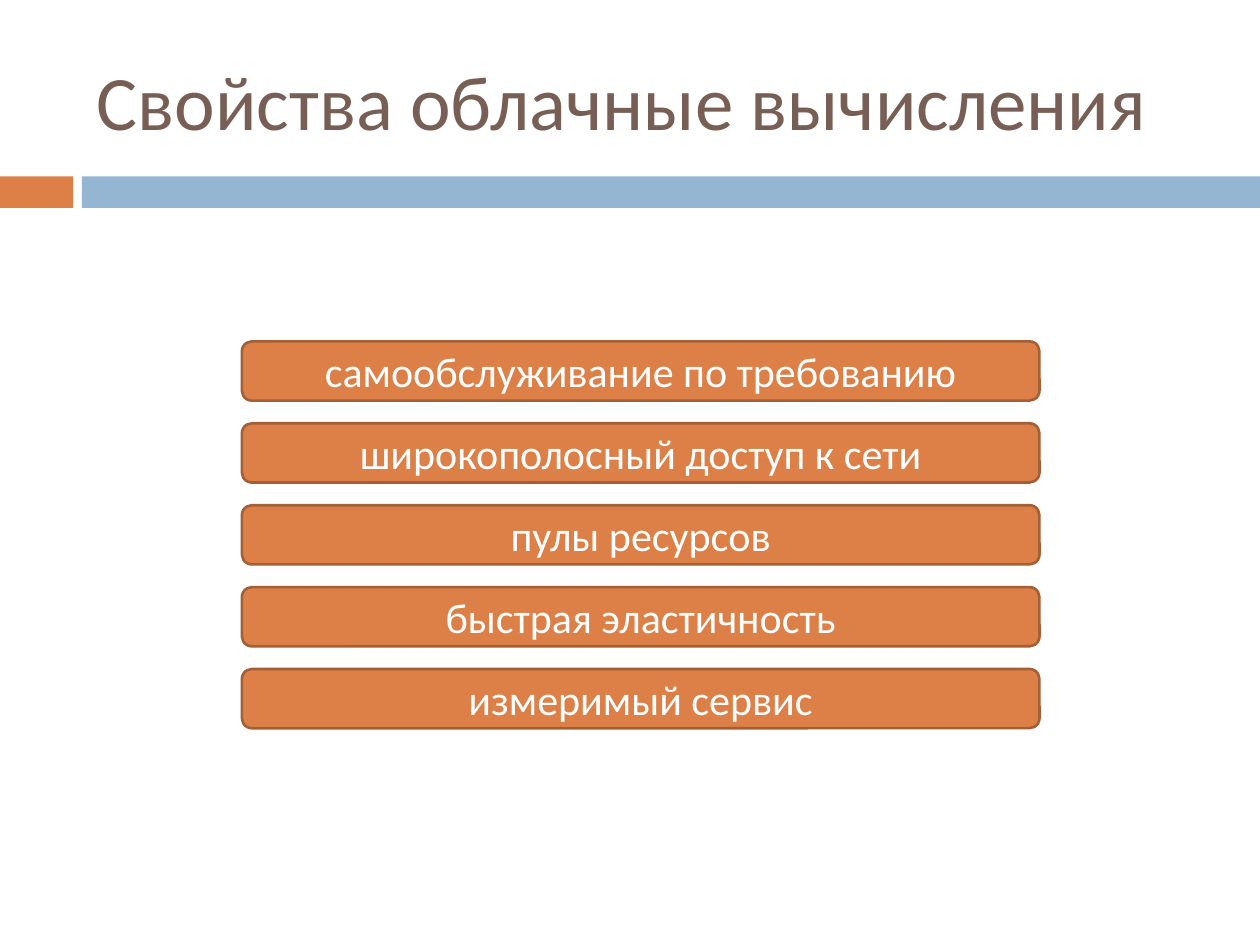
import pptx
import pptx.dml.color
import pptx.enum.shapes
import pptx.enum.text
import pptx.util

Inches = pptx.util.Inches
Shape = pptx.enum.shapes.MSO_SHAPE
Align = pptx.enum.text.PP_ALIGN
Anchor = pptx.enum.text.MSO_ANCHOR


def tint(code):
    return pptx.dml.color.RGBColor.from_string(code)


class Deck:
    """Holds the style and the current slide, and draws each kind of element."""

    font = "Calibri"
    orange, blue, brown = "DD8047", "94B6D2", "775F55"
    edge, white = "A35F35", "FFFFFF"

    def __init__(self, slide):
        self.slide = slide

    def label(self, shape, text, size, color, align):
        frame = shape.text_frame
        for name, value in {"word_wrap": True, "vertical_anchor": Anchor.MIDDLE}.items():
            setattr(frame, name, value)
        line = frame.paragraphs[0]
        line.alignment = align
        run = line.add_run()
        run.text = text
        for name, value in {"name": self.font, "size": pptx.util.Pt(size)}.items():
            setattr(run.font, name, value)
        run.font.color.rgb = tint(color)

    def block(self, kind, box, fill):
        shape = self.slide.shapes.add_shape(kind, *map(Inches, box))
        shape.shadow.inherit = False
        shape.fill.solid()
        shape.fill.fore_color.rgb = tint(fill)
        shape.line.fill.background()
        return shape

    def band(self, box, fill):
        self.block(Shape.RECTANGLE, box, fill)

    def title(self, box, text):
        shape = self.slide.shapes.add_textbox(*map(Inches, box))
        self.label(shape, text, 44, self.brown, Align.LEFT)

    def card(self, box, text):
        shape = self.block(Shape.ROUNDED_RECTANGLE, box, self.orange)
        shape.line.color.rgb = tint(self.edge)
        shape.line.width = pptx.util.Pt(1.5)
        self.label(shape, text, 24, self.white, Align.CENTER)


def main():
    show = pptx.Presentation()
    show.slide_width, show.slide_height = Inches(10), Inches(7.5)
    deck = Deck(show.slides.add_slide(show.slide_layouts[6]))

    deck.band((0, 1.4, 0.58, 0.25), deck.orange)
    deck.band((0.65, 1.4, 9.35, 0.25), deck.blue)
    deck.title((0.67, 0.25, 8.92, 1.08), "Свойства облачные вычисления")

    traits = (
        "самообслуживание по требованию",
        "широкополосный доступ к сети",
        "пулы ресурсов",
        "быстрая эластичность",
        "измеримый сервис",
    )
    top, step = 2.71, 0.65
    for row, trait in enumerate(traits):
        deck.card((1.92, top + row * step, 6.33, 0.47), trait)

    show.save("out.pptx")


if __name__ == "__main__":
    main()
